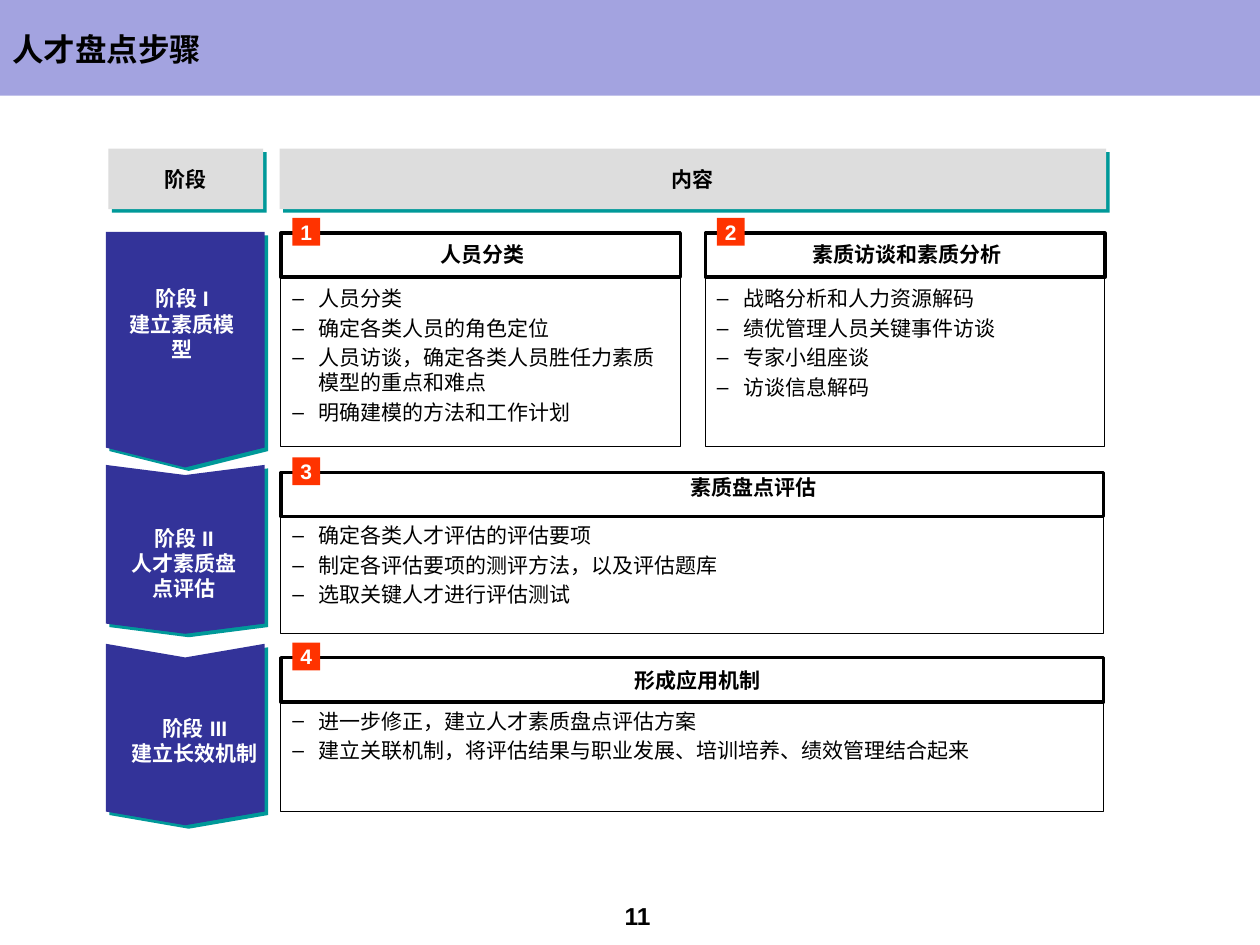
from lxml.etree import SubElement
from pptx import Presentation
from pptx.dml.color import RGBColor
from pptx.enum.shapes import MSO_SHAPE as Shape
from pptx.enum.text import MSO_ANCHOR as Anchor, PP_ALIGN as Align
from pptx.oxml.ns import qn
from pptx.util import Inches, Pt

COLORS = {
    "band": "A3A3E0", "heading": "DDDDDD", "shadow": "009999",
    "stage": "333399", "badge": "FF3300", "ink": "000000", "white": "FFFFFF",
}
BODY_FONT, TITLE_FONT = "Arial", "Noto Sans CJK SC"
SLIDE_W, SLIDE_H = 10, 7.5
TITLE, PAGE = "人才盘点步骤", "11"

STAGE_X, STAGE_W = 0.84, 1.26
LEFT_X, CARD_W, GUTTER = 2.23, 3.17, 0.2
RIGHT_X = LEFT_X + CARD_W + GUTTER
WIDE_W = 6.53
CAPTION_H, BADGE, LINE_H = 0.35, 0.22, 0.2
HEADING_Y, HEADING_H = 1.18, 0.48

HEADINGS = [("阶段", 0.86, 1.23), ("内容", 2.22, 6.56)]

STAGES = [
    dict(lines=["阶段 I", "建立素质模型"], top=1.84, height=1.87, outline=Shape.PENTAGON,
         point=0.125, label=(1.01, 2.27, 0.87, 3 * LINE_H)),
    dict(lines=["阶段 II", "人才素质盘点评估"], top=3.69, height=1.34, outline=Shape.CHEVRON,
         point=0.064, label=(1.04, 4.17, 0.84, 3 * LINE_H)),
    dict(lines=["阶段 III", "建立长效机制"], top=5.11, height=1.44, outline=Shape.CHEVRON,
         point=0.086, label=(0.97, 5.68, 1.15, 2 * LINE_H)),
]

CARDS = [
    dict(caption="人员分类", box=(LEFT_X, 1.85, CARD_W, 1.69),
         caption_at=(2.55, 1.92, 2.56), steps_y=2.27,
         steps=["人员分类", "确定各类人员的角色定位",
                "人员访谈，确定各类人员胜任力素质模型的重点和难点", "明确建模的方法和工作计划"]),
    dict(caption="素质访谈和素质分析", box=(RIGHT_X, 1.85, CARD_W, 1.69),
         caption_at=(5.92, 1.92, 2.56), steps_y=2.27,
         steps=["战略分析和人力资源解码", "绩优管理人员关键事件访谈", "专家小组座谈", "访谈信息解码"]),
    dict(caption="素质盘点评估", box=(LEFT_X, 3.75, WIDE_W, 1.28),
         caption_at=(4.09, 3.77, 3.78), steps_y=4.15,
         steps=["确定各类人才评估的评估要项", "制定各评估要项的测评方法，以及评估题库",
                "选取关键人才进行评估测试"]),
    dict(caption="形成应用机制", box=(LEFT_X, 5.22, WIDE_W, 1.22),
         caption_at=(2.52, 5.3, 6.03), steps_y=5.62,
         steps=["进一步修正，建立人才素质盘点评估方案",
                "建立关联机制，将评估结果与职业发展、培训培养、绩效管理结合起来"]),
]

prs = Presentation()
prs.slide_width, prs.slide_height = Inches(SLIDE_W), Inches(SLIDE_H)
slide = prs.slides.add_slide(prs.slide_layouts[6])


def rgb(name):
    return RGBColor.from_string(COLORS[name])


def block(box, fill=None, line=None, outline=Shape.RECTANGLE):
    shape = slide.shapes.add_shape(outline, *map(Inches, box))
    shape.shadow.inherit = False
    if fill:
        shape.fill.solid()
        shape.fill.fore_color.rgb = rgb(fill)
    else:
        shape.fill.background()
    if line:
        shape.line.color.rgb = rgb("ink")
        shape.line.width = Pt(line)
    else:
        shape.line.fill.background()
    return shape


def cast_shadow(shape):
    effects = shape._element.spPr.find(qn("a:effectLst"))
    shadow = SubElement(effects, qn("a:outerShdw"), dist=str(Pt(2.8)),
                        dir=str(45 * 60000), algn="ctr", rotWithShape="0")
    SubElement(shadow, qn("a:srgbClr"), val=COLORS["shadow"])


def write(holder, lines, size=12, color="ink", bold=True, font=BODY_FONT,
          align=Align.CENTER, anchor=Anchor.MIDDLE, inset=(0, 0), wrap=True):
    frame = holder.text_frame
    frame.word_wrap = wrap
    frame.vertical_anchor = anchor
    frame.margin_left = frame.margin_right = Inches(inset[0])
    frame.margin_top = frame.margin_bottom = Inches(inset[1])
    for i, line in enumerate(lines):
        paragraph = frame.paragraphs[0] if i == 0 else frame.add_paragraph()
        paragraph.alignment = align
        run = paragraph.add_run()
        run.text = line
        run.font.size, run.font.bold, run.font.name = Pt(size), bold, font
        run.font.color.rgb = rgb(color)
        SubElement(run.font._element, qn("a:ea"), typeface=font)
    return frame


def label(box, lines, **style):
    return write(slide.shapes.add_textbox(*map(Inches, box)), lines, **style)


def dash_list(box, steps):
    frame = label(box, steps, bold=False, align=Align.LEFT, anchor=Anchor.TOP)
    for paragraph in frame.paragraphs:
        paragraph.space_before = Pt(2.4)
        props = paragraph._p.get_or_add_pPr()
        props.set("marL", str(Inches(0.21)))
        props.set("indent", str(-Inches(0.21)))
        SubElement(props, qn("a:buFont"), typeface=BODY_FONT)
        SubElement(props, qn("a:buChar"), char="–")


block((0, 0, SLIDE_W, 0.76), "band")
label((0, 0.08, 9.67, 0.62), [TITLE], size=18, font=TITLE_FONT,
      align=Align.LEFT, inset=(0.1, 0.05))
label((4.69, 7.09, 0.74, 0.35), [PAGE], size=14)

for heading, x, width in HEADINGS:
    cast_shadow(block((x, HEADING_Y, width, HEADING_H), "heading"))
    text_w = 0.34
    label((x + (width - text_w) / 2, HEADING_Y + (HEADING_H - LINE_H) / 2, text_w, LINE_H),
          [heading], wrap=False)

for stage in STAGES:
    length = stage["height"]
    shift = (length - STAGE_W) / 2
    arrow = block((STAGE_X - shift, stage["top"] + shift, length, STAGE_W),
                  "stage", outline=stage["outline"])
    arrow.rotation = 90
    arrow.adjustments[0] = stage["point"]
    cast_shadow(arrow)
    label(stage["label"], stage["lines"], color="white")

for number, card in enumerate(CARDS, 1):
    x, y, width, height = card["box"]
    block(card["box"], line=0.5)
    block((x, y, width, CAPTION_H), line=2)
    label((*card["caption_at"], LINE_H), [card["caption"]])
    dash_list((x + 0.09, card["steps_y"], width - 0.15, y + height - card["steps_y"]),
              card["steps"])
    badge = block((x + 0.09, y - 0.12, BADGE, BADGE), "badge")
    write(badge, [str(number)], color="white")

prs.save("out.pptx")
